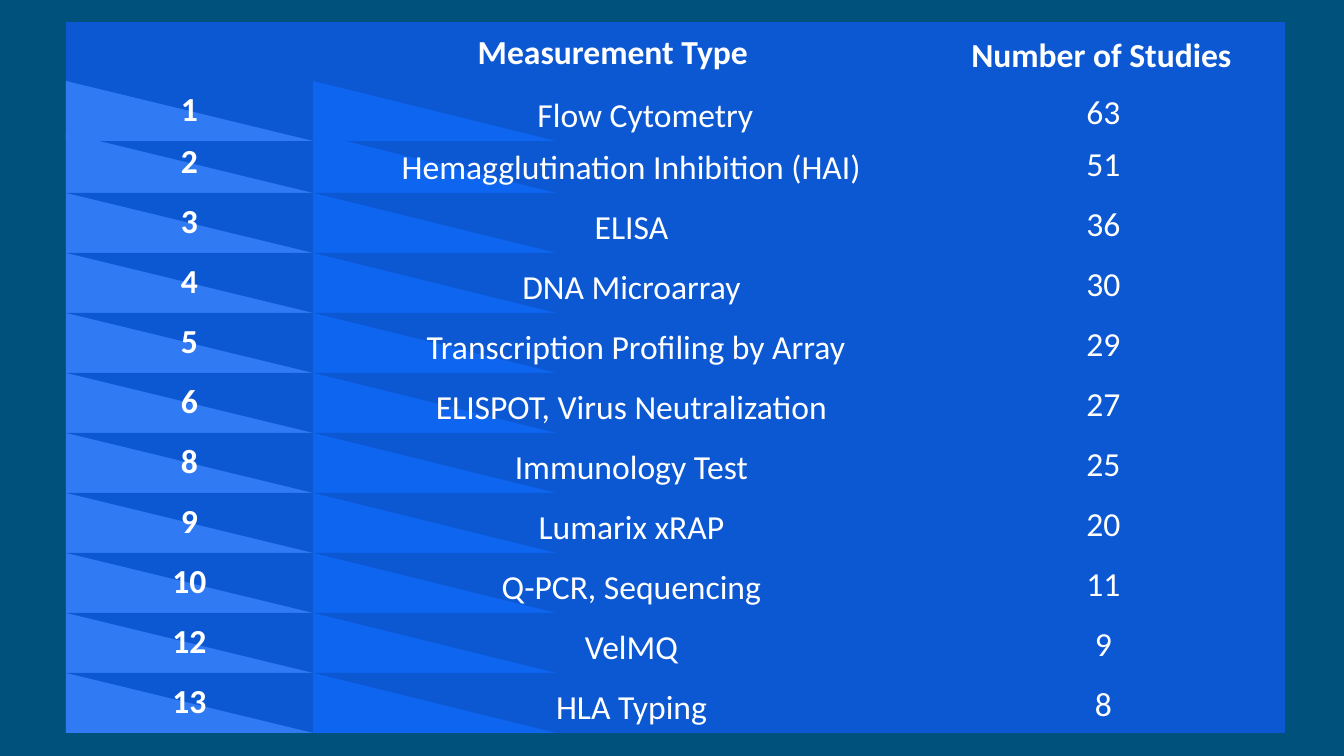
from pptx import Presentation
from pptx.dml.color import RGBColor
from pptx.enum.shapes import MSO_SHAPE
from pptx.enum.text import MSO_ANCHOR, PP_ALIGN
from pptx.util import Pt

RECTANGLE = MSO_SHAPE.RECTANGLE
TRIANGLE = MSO_SHAPE.RIGHT_TRIANGLE
TOP, MIDDLE, BOTTOM = MSO_ANCHOR.TOP, MSO_ANCHOR.MIDDLE, MSO_ANCHOR.BOTTOM
CENTER = PP_ALIGN.CENTER

COLORS = {
    "background": "00517C",
    "band": "0C58D3",
    "label_wedge": "0E65F0",
    "rank_wedge": "307BF3",
    "text": "FFFFFF",
}

HEADERS = [
    ("Number of Studies", 874, 411, 57, 1.15),
    ("Measurement Type", 66, 808, 299, None),
]

ROWS = [
    ("1", "Flow Cytometry", "63"),
    ("2", "Hemagglutination Inhibition (HAI)", "51"),
    ("3", "ELISA", "36"),
    ("4", "DNA Microarray", "30"),
    ("5", "Transcription Profiling by Array", "29"),
    ("6", "ELISPOT, Virus Neutralization", "27"),
    ("8", "Immunology Test", "25"),
    ("9", "Lumarix xRAP", "20"),
    ("10", "Q-PCR, Sequencing", "11"),
    ("12", "VelMQ", "9"),
    ("13", "HLA Typing", "8"),
]

LABEL_SPAN = (340, 583)
WIDE_LABEL_SPANS = {"5": (298, 676)}
LABEL_INDENTS = {"1": 41}

LEFT, WEDGE_LEFT, COUNT_LEFT, RIGHT = 66, 313, 922, 1285
WEDGE_WIDTH = 243
HEADER_TOP, HEADER_HEIGHT = 22, 59
FIRST_TOP, SECOND_TOP, ROW_HEIGHT = 81, 133, 60
INSET = 13
EMU_PER_PX = 914400 / 134.4


def px(length):
    return round(length * EMU_PER_PX)


def rgb(name):
    return RGBColor.from_string(COLORS[name])


def add_block(shapes, kind, color, *bounds):
    block = shapes.add_shape(kind, *map(px, bounds))
    block.shadow.inherit = False
    block.fill.solid()
    block.fill.fore_color.rgb = rgb(color)
    block.line.fill.background()
    return block


def write(box, text, anchor, bold=False, left_inset=INSET, spacing=None):
    frame = box.text_frame
    settings = {
        "word_wrap": True,
        "vertical_anchor": anchor,
        "margin_left": px(left_inset),
        "margin_top": px(INSET),
        "margin_right": px(INSET),
        "margin_bottom": px(INSET),
    }
    for name, value in settings.items():
        setattr(frame, name, value)
    para = frame.paragraphs[0]
    para.alignment = CENTER
    para.line_spacing = spacing
    span = para.add_run()
    span.text = text
    for name, value in {"name": "Calibri", "size": Pt(18), "bold": bold}.items():
        setattr(span.font, name, value)
    span.font.color.rgb = rgb("text")


def add_row(page, index, rank, label, count):
    top = SECOND_TOP + (index - 1) * ROW_HEIGHT if index else FIRST_TOP
    shapes = page.shapes.add_group_shape().shapes
    for kind, color, left, width in [
        (RECTANGLE, "band", LEFT, COUNT_LEFT - LEFT),
        (TRIANGLE, "label_wedge", WEDGE_LEFT, WEDGE_WIDTH),
        (TRIANGLE, "rank_wedge", LEFT, WEDGE_LEFT - LEFT),
    ]:
        add_block(shapes, kind, color, left, top, width, ROW_HEIGHT)

    count_box = add_block(shapes, RECTANGLE, "band", COUNT_LEFT, top,
                          RIGHT - COUNT_LEFT, ROW_HEIGHT)
    write(count_box, count, MIDDLE)

    rank_bounds = (LEFT, top + 1, WEDGE_LEFT - LEFT, ROW_HEIGHT - 1)
    write(shapes.add_textbox(*map(px, rank_bounds)), rank, BOTTOM, bold=True)

    left, width = WIDE_LABEL_SPANS.get(rank, LABEL_SPAN)
    label_box = shapes.add_textbox(*map(px, (left, top, width, ROW_HEIGHT)))
    write(label_box, label, TOP, left_inset=LABEL_INDENTS.get(rank, INSET))


def main():
    deck = Presentation()
    deck.slide_width, deck.slide_height = px(1344), px(756)
    page = deck.slides.add_slide(deck.slide_layouts[6])
    page.background.fill.solid()
    page.background.fill.fore_color.rgb = rgb("background")

    for text, left, width, inset, spacing in HEADERS:
        header = add_block(page.shapes, RECTANGLE, "band", left, HEADER_TOP,
                           width, HEADER_HEIGHT)
        write(header, text, MIDDLE, True, inset, spacing)

    first, *others = enumerate(ROWS)
    for index, row in [*others, first]:
        add_row(page, index, *row)

    deck.save("out.pptx")


if __name__ == "__main__":
    main()
